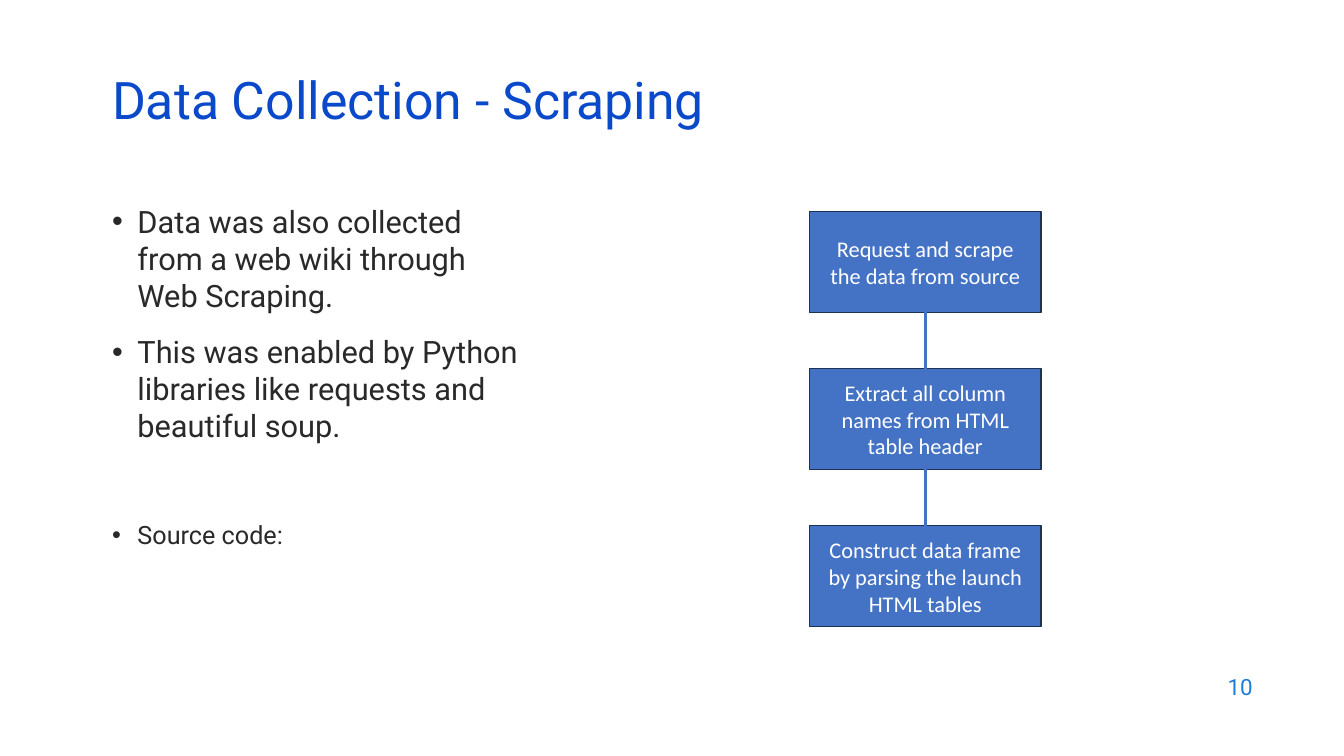
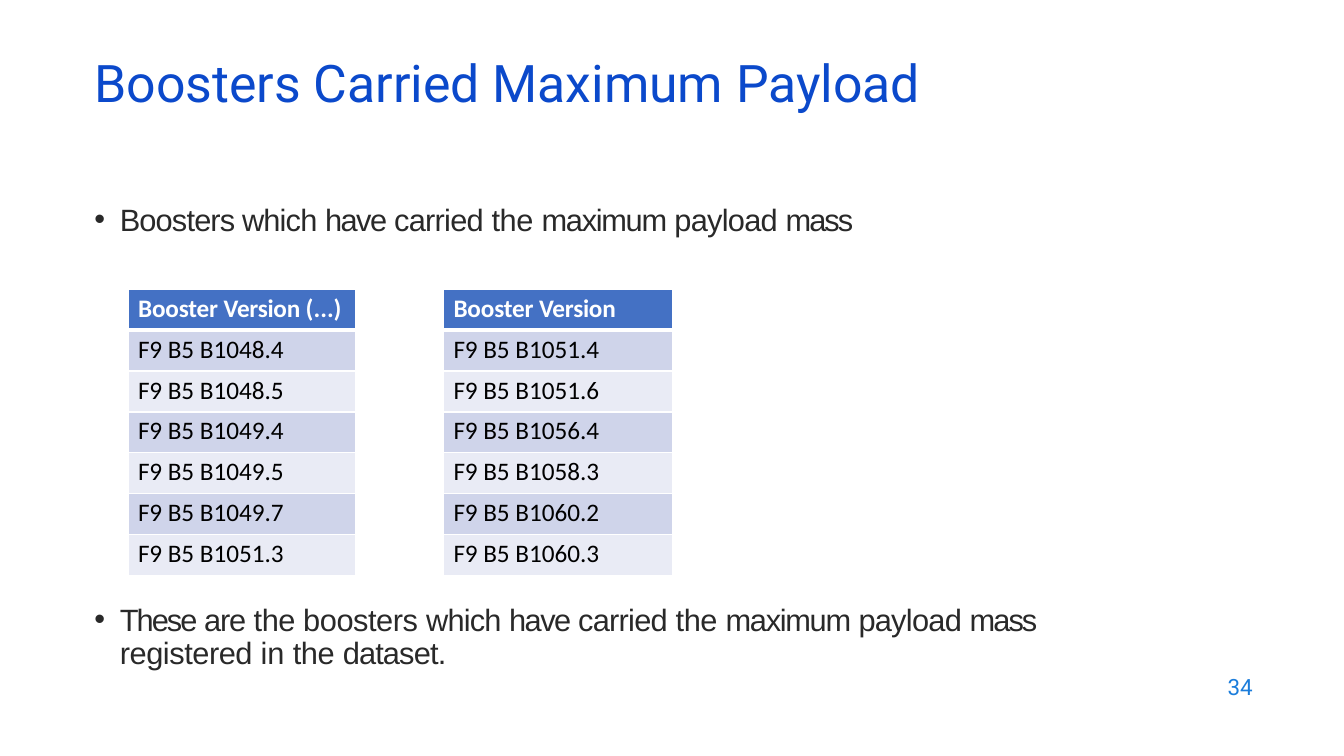
from dataclasses import dataclass
from itertools import groupby, pairwise

from lxml.etree import SubElement as Sub
from pptx import Presentation
from pptx.dml.color import RGBColor as Rgb
from pptx.enum.shapes import MSO_CONNECTOR as Line, MSO_SHAPE as Shape
from pptx.enum.text import MSO_ANCHOR as Anchor, MSO_AUTO_SIZE as Auto, PP_ALIGN as Align
from pptx.oxml.ns import qn
from pptx.util import Cm, Pt


@dataclass(frozen=True)
class Theme:
    blue: str = "0B49CB"
    ink: str = "292929"
    page: str = "1C7DDB"
    box: str = "4472C4"
    edge: str = "1E3256"
    white: str = "FFFFFF"
    black: str = "000000"
    head: str = "4471C4"
    bands: tuple = ("CFD4EA", "E9EBF5")
    face: str = "Roboto"
    plain: str = "Arial"
    label: str = "Calibri"
    big: int = 37
    text: int = 22
    mid: int = 18
    small: int = 16


T = Theme()

# Letter spacing of single words, in points
TRACK = {
    "Boosters": -0.6, "which": -0.6, "have": -1.1, "carried": -0.5,
    "the": -0.3, "maximum": -0.9, "payload": -0.5, "mass": -1.4,
    "These": -1.4, "are": -0.8, "boosters": -0.3, "registered": -0.3,
    "in": -0.1, "dataset.": -0.6, "Booster": -0.1, "Version": -0.2, "F9": -0.1,
}


def style(item, **vals):
    for key, val in vals.items():
        setattr(item, key, val)


def place(item, left, top, width, height):
    style(item, left=Cm(left), top=Cm(top), width=Cm(width), height=Cm(height))


def frame(item, **vals):
    """Set up wrapping without shrinking, and return the text frame."""
    area = item.text_frame
    style(area, **{"word_wrap": True, "auto_size": Auto.NONE, **vals})
    return area


def write(para, text, face, size, tint, bold=False, track=False):
    """Add text, with one run for each stretch of equal letter spacing."""
    words = text.split(" ")
    gap = lambda word: TRACK.get(word, 0) if track else 0
    parts = [(val, " ".join(group)) for val, group in groupby(words, gap)]
    for num, (val, part) in enumerate(parts, 1):
        run = para.add_run()
        run.text = part if num == len(parts) else part + " "
        style(run.font, name=face, size=Pt(size), bold=bold)
        run.font.color.rgb = Rgb.from_string(tint)
        if val:
            run._r.get_or_add_rPr().set("spc", str(round(val * 100)))


def bullet(para, indent=0.64):
    props = para._p.get_or_add_pPr()
    props.set("marL", str(Cm(indent)))
    props.set("indent", str(-Cm(0.64)))
    Sub(props, qn("a:buFont"), typeface="Arial")
    Sub(props, qn("a:buChar"), char="•")


def title(slide, text, left, top):
    item = slide.shapes.title
    place(item, left, top, 29.21, 1.52)
    para = frame(item, vertical_anchor=Anchor.MIDDLE).paragraphs[0]
    style(para, alignment=Align.LEFT, line_spacing=0.7)
    write(para, text, T.face, T.big, T.blue)


def number(slide, text):
    item = slide.shapes.add_textbox(Cm(24.2), Cm(16.73), Cm(7.62), Cm(1.12))
    para = frame(item, vertical_anchor=Anchor.MIDDLE).paragraphs[0]
    para.alignment = Align.RIGHT
    write(para, text, T.face, T.small, T.page)


def points(item, rows):
    """Fill a body placeholder from (text, size, space before) rows."""
    place(item, 2.57, 4.98, 10.92, 10.59)
    area = frame(item)
    for num, (text, size, gap) in enumerate(rows):
        para = area.add_paragraph() if num else area.paragraphs[0]
        bullet(para)
        style(para, line_spacing=1.0, space_before=Pt(gap))
        write(para, text, T.face, size, T.ink)


def remark(item, text, top, width, height, inset, pitch):
    place(item, 2.36, top, width, height)
    area = frame(item, margin_left=0, margin_right=0,
                 margin_top=Cm(inset), margin_bottom=0)
    para = area.paragraphs[0]
    bullet(para, 0.66)
    style(para, line_spacing=pitch, space_before=Pt(0))
    write(para, text, T.plain, T.text, T.ink, track=True)


def step(slide, text, top):
    item = slide.shapes.add_shape(
        Shape.RECTANGLE, Cm(20.4), Cm(top), Cm(5.84), Cm(2.54))
    item.shadow.inherit = False
    item.fill.solid()
    item.fill.fore_color.rgb = Rgb.from_string(T.box)
    item.line.color.rgb = Rgb.from_string(T.edge)
    item.line.width = Pt(1)
    para = frame(item, vertical_anchor=Anchor.MIDDLE).paragraphs[0]
    para.alignment = Align.CENTER
    write(para, text, T.label, T.small, T.white)
    return item


def link(slide, upper, lower):
    item = slide.shapes.add_connector(Line.STRAIGHT, 0, 0, 0, 0)
    item.begin_connect(upper, 2)
    item.end_connect(lower, 0)
    item.line.color.rgb = Rgb.from_string(T.box)
    item.line.width = Pt(2)
    Sub(item._element.spPr, qn("a:effectLst"))


def flow(slide, texts):
    boxes = [step(slide, text, 5.33 + 3.96 * num)
             for num, text in enumerate(texts)]
    for upper, lower in pairwise(boxes):
        link(slide, upper, lower)


def border(cell, **sides):
    props = cell._tc.get_or_add_tcPr()
    for side, width in sides.items():
        line = Sub(props, qn("a:ln" + side), w=str(Pt(width)))
        Sub(Sub(line, qn("a:solidFill")), qn("a:srgbClr"), val=T.white)


def table(slide, left, width, rows):
    high = 1.03
    grid = slide.shapes.add_table(
        len(rows), 1, Cm(left), Cm(7.29), Cm(width), Cm(high * len(rows))).table
    for num, text in enumerate(rows):
        top = num == 0
        grid.rows[num].height = Cm(high)
        cell = grid.cell(num, 0)
        style(cell, margin_left=Cm(0.25), margin_right=0,
              margin_top=Cm(0.1), margin_bottom=0)
        border(cell, L=1, R=1, T=3 if num == 1 else 1, B=3 if top else 1)
        cell.fill.solid()
        cell.fill.fore_color.rgb = Rgb.from_string(
            T.head if top else T.bands[(num - 1) % 2])
        write(cell.text_frame.paragraphs[0], text, T.label, T.mid,
              T.white if top else T.black, bold=top, track=True)


def scraping(deck):
    slide = deck.slides.add_slide(deck.slide_layouts[1])
    title(slide, "Data Collection - Scraping", 2.57, 1.93)
    points(slide.placeholders[1], [
        ("Data was also collected from a web wiki through Web Scraping.", T.text, 0),
        ("This was enabled by Python libraries like requests and beautiful soup.",
         T.text, 14),
        ("Source code:", T.mid, 54),
    ])
    flow(slide, [
        "Request and scrape the data from source",
        "Extract all column names from HTML table header",
        "Construct data frame by parsing the launch HTML tables",
    ])
    number(slide, "10")


def payload(deck):
    slide = deck.slides.add_slide(deck.slide_layouts[3])
    title(slide, "Boosters Carried Maximum Payload", 2.13, 1.5)
    remark(slide.placeholders[1], "Boosters which have carried the maximum payload mass",
           5.03, 19.41, 0.99, 0.03, 1.0)
    remark(slide.placeholders[2], "These are the boosters which have carried the maximum "
           "payload mass registered in the dataset.",
           15.09, 24.08, 1.85, 0.13, Pt(23.8))
    lists = [
        (3.23, 5.72, "Booster Version (...)",
         ["1048.4", "1048.5", "1049.4", "1049.5", "1049.7", "1051.3"]),
        (11.18, 5.77, "Booster Version",
         ["1051.4", "1051.6", "1056.4", "1058.3", "1060.2", "1060.3"]),
    ]
    for left, width, head, codes in lists:
        table(slide, left, width, [head] + [f"F9 B5 B{code}" for code in codes])
    number(slide, "34")


def main():
    deck = Presentation()
    style(deck, slide_width=Cm(33.87), slide_height=Cm(19.05))
    scraping(deck)
    payload(deck)
    deck.save("out.pptx")


if __name__ == "__main__":
    main()
